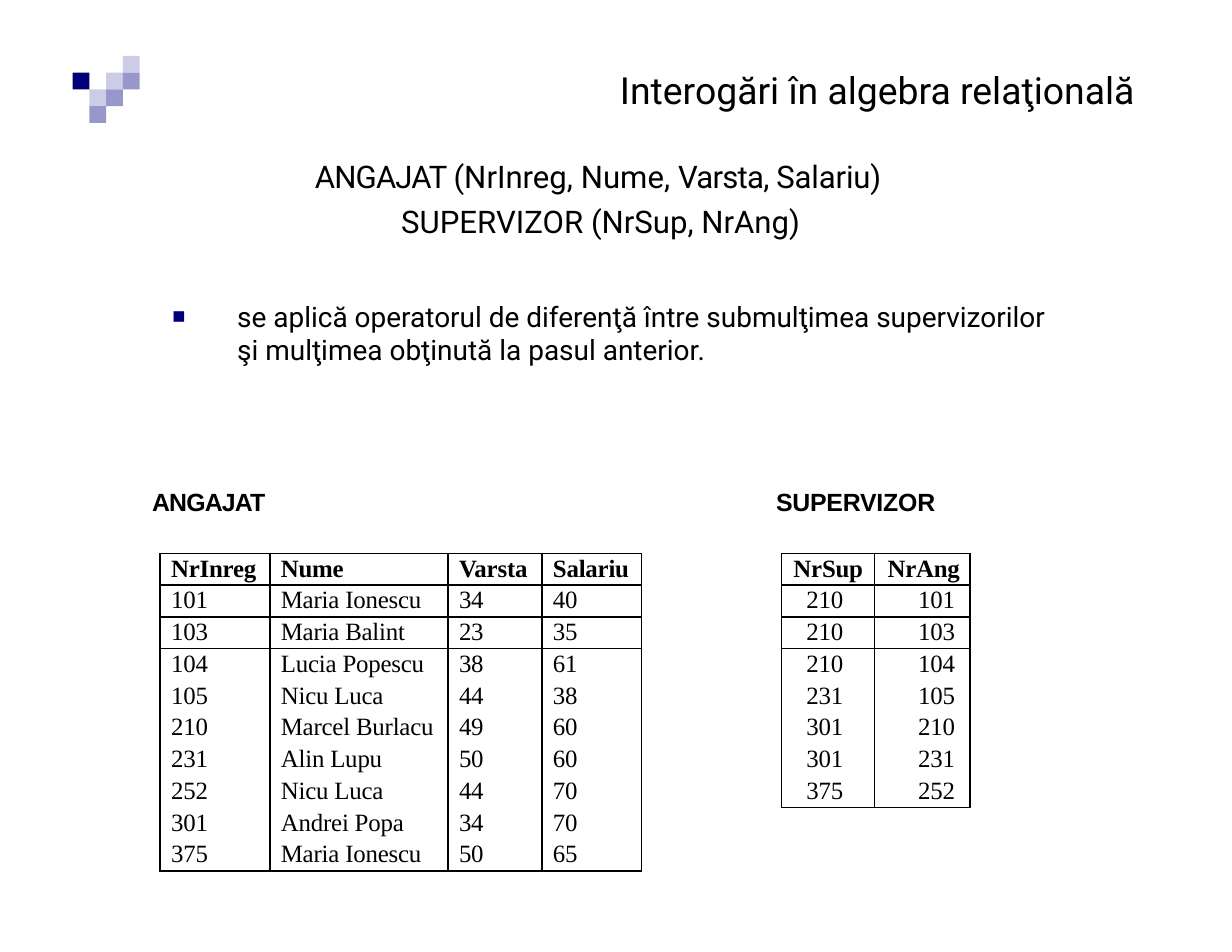
from lxml import etree
from pptx import Presentation
from pptx import util as u
from pptx.dml.color import RGBColor
from pptx.enum import shapes, text
from pptx.oxml import ns

BLACK = RGBColor(0x00, 0x00, 0x00)
NAVY = RGBColor(0x00, 0x00, 0x7B)
VIOLET = RGBColor(0x97, 0x97, 0xCC)
LAVENDER = RGBColor(0xCC, 0xCC, 0xE6)

LEFT, CENTER, RIGHT = text.PP_ALIGN.LEFT, text.PP_ALIGN.CENTER, text.PP_ALIGN.RIGHT
PLAIN_TABLE = "{2D5ABB26-0587-4C30-8999-92F81FD0307C}"

EMPLOYEES = [
    ("NrInreg", "Nume", "Varsta", "Salariu"),
    (101, "Maria Ionescu", 34, 40),
    (103, "Maria Balint", 23, 35),
    (104, "Lucia Popescu", 38, 61),
    (105, "Nicu Luca", 44, 38),
    (210, "Marcel Burlacu", 49, 60),
    (231, "Alin Lupu", 50, 60),
    (252, "Nicu Luca", 44, 70),
    (301, "Andrei Popa", 34, 70),
    (375, "Maria Ionescu", 50, 65),
]
SUPERVISORS = [
    ("NrSup", "NrAng"),
    (210, 101), (210, 103), (210, 104), (231, 105),
    (301, 210), (301, 231), (375, 252),
]


class SlideBuilder:
    body_font, label_font, table_font = "Roboto", "Arial", "Times New Roman"
    row_height = 0.72

    def __init__(self, slide):
        self.slide = slide

    def prepare(self, shape):
        """Zero the insets, top-anchor and wrap the text."""
        frame = shape.text_frame
        frame.margin_left = frame.margin_right = frame.margin_bottom = 0
        frame.margin_top = u.Cm(0.03)
        frame.word_wrap = True
        frame.auto_size = text.MSO_AUTO_SIZE.NONE
        frame.vertical_anchor = text.MSO_ANCHOR.TOP
        return frame

    def fill_text(self, para, spans, font, size, align=LEFT, bold=False):
        """Fill a paragraph with (text, letter spacing in points) spans."""
        for words, spacing in spans:
            span = para.add_run()
            span.text = words
            if spacing:
                span.font._element.set("spc", str(round(spacing * 100)))
        para.alignment = align
        para.font.name, para.font.size = font, u.Pt(size)
        para.font.bold = bold
        para.font.color.rgb = BLACK

    def title(self, words, left, top, width, height):
        box = self.slide.shapes.title
        box.left, box.top = u.Cm(left), u.Cm(top)
        box.width, box.height = u.Cm(width), u.Cm(height)
        para = self.prepare(box).paragraphs[0]
        self.fill_text(para, [(words, 0)], self.body_font, 24)

    def text_box(self, left, top, width, height):
        box = self.slide.shapes.add_textbox(
            u.Cm(left), u.Cm(top), u.Cm(width), u.Cm(height))
        return self.prepare(box)

    def label(self, words, left, top, width, spacing):
        frame = self.text_box(left, top, width, 0.74)
        self.fill_text(frame.paragraphs[0], [(words, spacing)], self.label_font, 16, bold=True)

    def indent(self, para, right, left=0, first=0):
        props = para._p.get_or_add_pPr()
        for name, value in (("marL", left), ("marR", right), ("indent", first)):
            props.set(name, str(int(u.Cm(value))))
        return props

    def bullet(self, para):
        props = self.indent(para, right=0.38, left=1.52, first=-1.47)
        colour = etree.SubElement(props, ns.qn("a:buClr"))
        etree.SubElement(colour, ns.qn("a:srgbClr"), val=str(NAVY))
        etree.SubElement(props, ns.qn("a:buSzPct"), val="78000")
        etree.SubElement(props, ns.qn("a:buFont"), typeface="Arial")
        etree.SubElement(props, ns.qn("a:buChar"), char="■")

    def square(self, left, top, side, colour):
        shape = self.slide.shapes.add_shape(
            shapes.MSO_SHAPE.RECTANGLE, u.Cm(left), u.Cm(top), u.Cm(side), u.Cm(side))
        shape.shadow.inherit = False
        shape.fill.solid()
        shape.fill.fore_color.rgb = colour
        shape.line.fill.background()

    def border(self, cell, sides):
        props = cell._tc.get_or_add_tcPr()
        for place, side in enumerate(sides):
            line = etree.Element(ns.qn(f"a:ln{side}"), w=str(int(u.Pt(1))))
            fill = etree.SubElement(line, ns.qn("a:solidFill"))
            etree.SubElement(fill, ns.qn("a:srgbClr"), val=str(BLACK))
            props.insert(place, line)

    def table(self, rows, left, top, widths, aligns, head_margins, body_margins):
        """Margins are the (left, right) insets of each column."""
        grid = self.slide.shapes.add_table(
            len(rows), len(widths), u.Cm(left), u.Cm(top),
            u.Cm(sum(widths)), u.Cm(self.row_height * len(rows))).table
        grid._tbl.tblPr.find(ns.qn("a:tableStyleId")).text = PLAIN_TABLE
        grid.first_row = grid.horz_banding = False
        for column, width in zip(grid.columns, widths):
            column.width = u.Cm(width)
        for r, values in enumerate(rows):
            grid.rows[r].height = u.Cm(self.row_height)
            # Lines frame the header, the first record and the whole block
            sides = "LR" + ("T" if r < 3 else "")
            sides += "B" if r < 2 or r == len(rows) - 1 else ""
            margins = body_margins if r else head_margins
            for c, value in enumerate(values):
                cell = grid.cell(r, c)
                cell.margin_top = cell.margin_bottom = 0
                cell.margin_left, cell.margin_right = (u.Cm(m) for m in margins[c])
                cell.fill.background()
                self.border(cell, sides)
                para = cell.text_frame.paragraphs[0]
                para.line_spacing = u.Pt(18.8)
                self.fill_text(para, [(str(value), -0.1)], self.table_font, 16,
                               aligns[c], bold=r == 0)


def main():
    deck = Presentation()
    deck.slide_width, deck.slide_height = u.Cm(27.94), u.Cm(21.59)
    page = SlideBuilder(deck.slides.add_slide(deck.slide_layouts[5]))

    # Corner ornament: squares on a grid, as (column, row)
    ornament = {
        LAVENDER: [(3, 0), (2, 1), (1, 2)],
        VIOLET: [(3, 1), (2, 2), (1, 3)],
        NAVY: [(0, 1)],
    }
    step = 0.38
    for colour, places in ornament.items():
        for column, row in places:
            page.square(1.65 + column * step, 1.27 + row * step, step, colour)

    # Title
    page.title("Interogări în algebra relaţională", 14.06, 1.5, 11.9, 1.14)

    # Relation schemas and the explained step
    frame = page.text_box(3.86, 3.18, 20.32, 4.93)
    frame.margin_top = u.Cm(0.4)
    schemas = [
        ([("ANGAJAT ", -0.6), ("(NrInreg, Nume, ", 0), ("Varsta, ", -0.5),
          ("Salariu)", -0.1)], 0.91),
        ([("SUPERVIZOR (NrSup, NrAng)", 0)], 0.79),
    ]
    for number, (spans, right) in enumerate(schemas):
        para = frame.add_paragraph() if number else frame.paragraphs[0]
        page.indent(para, right)
        page.fill_text(para, spans, page.body_font, 20, CENTER)
        if number:
            para.space_before = u.Pt(4.8)
    para = frame.add_paragraph()
    page.bullet(para)
    para.space_before = u.Pt(38)
    page.fill_text(para, [("se aplică operatorul de diferenţă între submulţimea supervizorilor "
                           "şi mulţimea obţinută la pasul anterior.", 0)], page.body_font, 18)

    # Tables with their names
    page.label("ANGAJAT", 3.45, 11, 2.67, -0.5)
    page.table(EMPLOYEES, 3.63, 12.55, [2.49, 4.04, 2.13, 2.26],
               [LEFT] * 4, [(0.25, 0)] * 4, [(0.25, 0)] * 4)
    page.label("SUPERVIZOR", 17.6, 11, 3.68, -0.1)
    page.table(SUPERVISORS, 17.73, 12.55, [2.11, 2.16], [CENTER, RIGHT],
               [(0, 0), (0, 0.23)], [(0, 0.16), (0, 0.34)])

    deck.save("out.pptx")


if __name__ == "__main__":
    main()
